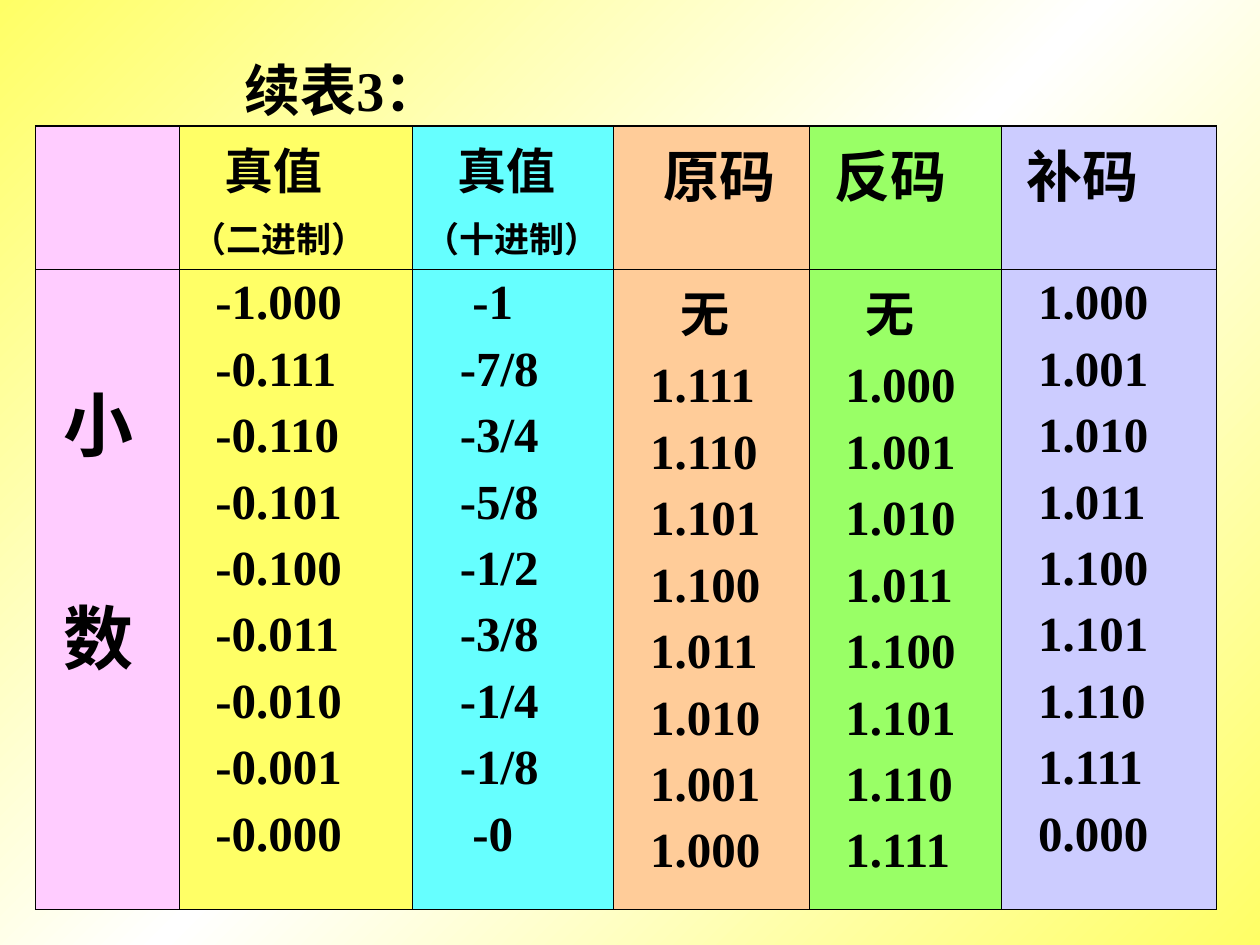
from copy import deepcopy

from lxml import etree
from pptx import Presentation
from pptx.dml.color import RGBColor
from pptx.enum.text import MSO_ANCHOR
from pptx.oxml.ns import qn
from pptx.util import Inches, Pt

MIDDLE = MSO_ANCHOR.MIDDLE
FONT = "Times New Roman"
BLACK = "000000"
THIN, THICK = Pt(0.45), Pt(1.08)
COLUMN_WIDTHS = [1.14, 1.85, 1.6, 1.55, 1.53, 1.7]
ROW_HEIGHTS = [1.14, 5.08]
COLUMN_FILLS = ["FFCCFF", "FFFF66", "66FFFF", "FFCC99", "99FF66", "CCCCFF"]
GRADIENT = [(0, "FFFF66"), (0.5, "FFFFFF"), (1, "FFFF66")]
VALUE_SIZE, VALUE_GAP, VALUE_INDENT = 28, 7, 0.19

TRUE_BINARY = "-1.000 -0.111 -0.110 -0.101 -0.100 -0.011 -0.010 -0.001 -0.000".split()
TRUE_DECIMAL = "-7/8 -3/4 -5/8 -1/2 -3/8 -1/4 -1/8".split()
CODES = [f"1.{number:03b}" for number in range(8)]


def color(value):
    return RGBColor.from_string(value)


def line(text, size=VALUE_SIZE, indent=0.0, gap=VALUE_GAP):
    return text, size, indent, gap


def values(texts, indent=VALUE_INDENT):
    return [line(text, indent=indent) for text in texts]


def header(base):
    return [line("真值", indent=0.26), line(f"（{base}）", 20, gap=5)]


def table_rows():
    headings = [
        [],
        header("二进制"),
        header("十进制"),
        [line("原码", 32, 0.3)],
        [line("反码", 32, 0.1)],
        [line("补码", 32, 0.1)],
    ]
    body = [
        [line("小", 40, 0.12), line("数", 40, 0.12, 64)],
        values(TRUE_BINARY),
        values(["-1"], 0.38) + values(TRUE_DECIMAL, 0.28) + values(["-0"], 0.38),
        values(["无"], 0.43) + values(reversed(CODES)),
        values(["无"], 0.35) + values(CODES),
        values(CODES + ["0.000"]),
    ]
    return [headings, body]


def write_lines(text_frame, lines):
    for index, (text, size, indent, gap) in enumerate(lines):
        paragraph = text_frame.add_paragraph() if index else text_frame.paragraphs[0]
        paragraph.text = text
        if indent:
            paragraph._p.get_or_add_pPr().set("marL", str(Inches(indent)))
        if index:
            paragraph.space_before = Pt(gap)
        font = paragraph.font
        font.name, font.size, font.bold = FONT, Pt(size), True
        font.color.rgb = color(BLACK)


def set_borders(cell, widths):
    properties = cell._tc.get_or_add_tcPr()
    for position, (side, width) in enumerate(widths.items()):
        border = etree.Element(qn(f"a:ln{side}"), w=str(width))
        fill = etree.SubElement(border, qn("a:solidFill"))
        etree.SubElement(fill, qn("a:srgbClr"), val=BLACK)
        properties.insert(position, border)


def paint_background(slide):
    fill = slide.background.fill
    fill.gradient()
    fill.gradient_angle = 135
    stop_list = slide._element.find(".//" + qn("a:gsLst"))
    stop_list.append(deepcopy(stop_list[0]))
    for stop, (position, value) in zip(fill.gradient_stops, GRADIENT):
        stop.position = position
        stop.color.rgb = color(value)


def add_title(slide):
    shape = slide.shapes.add_textbox(Inches(1.84), Inches(0.25), Inches(7.67), Inches(0.92))
    shape.text_frame.word_wrap = True
    shape.text_frame.vertical_anchor = MIDDLE
    write_lines(shape.text_frame, [line("续表3：", 32)])


def add_code_table(slide):
    table = slide.shapes.add_table(
        len(ROW_HEIGHTS), len(COLUMN_WIDTHS), Inches(0.28), Inches(1),
        Inches(sum(COLUMN_WIDTHS)), Inches(sum(ROW_HEIGHTS)),
    ).table
    table.first_row = table.horz_banding = False
    for column, width in zip(table.columns, COLUMN_WIDTHS):
        column.width = Inches(width)
    for row, height in zip(table.rows, ROW_HEIGHTS):
        row.height = Inches(height)
    for row_index, contents in enumerate(table_rows()):
        top = THIN if row_index else THICK
        for column_index, lines in enumerate(contents):
            cell = table.cell(row_index, column_index)
            cell.fill.solid()
            cell.fill.fore_color.rgb = color(COLUMN_FILLS[column_index])
            set_borders(cell, {"L": THIN, "R": THIN, "T": top, "B": THIN})
            write_lines(cell.text_frame, lines)
    table.cell(1, 0).margin_top = Inches(0.8)


def main():
    presentation = Presentation()
    presentation.slide_width, presentation.slide_height = Inches(10), Inches(7.5)
    slide = presentation.slides.add_slide(presentation.slide_layouts[6])
    paint_background(slide)
    add_title(slide)
    add_code_table(slide)
    presentation.save("out.pptx")


if __name__ == "__main__":
    main()
